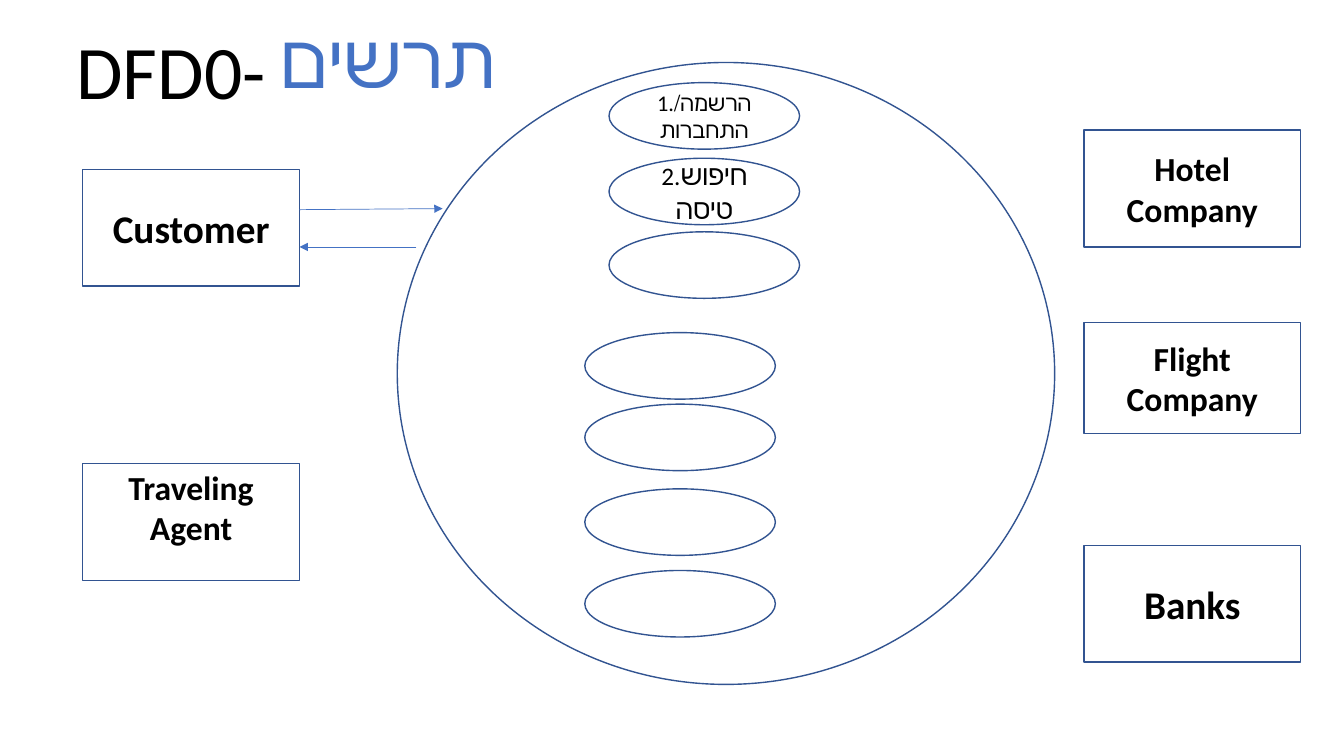
import pptx
import pptx.util
import pptx.dml.color
import pptx.enum.shapes
import pptx.enum.text
import pptx.oxml.ns
from lxml import etree

Inches = pptx.util.Inches
Pt = pptx.util.Pt
SHAPE = pptx.enum.shapes.MSO_SHAPE
COLORS = {"outline": "325491", "accent": "4472C4", "text": "000000", "paper": "FFFFFF"}


def rgb(name):
    """Return the named colour."""
    return pptx.dml.color.RGBColor.from_string(COLORS[name])


class Diagram:
    """Holds the style and the current slide."""

    font = "Calibri"
    outline = Pt(1)
    flow_line = Pt(0.5)

    def __init__(self, s):
        """Keep the slide to draw on."""
        self.s = s

    def add_text(self, tf, runs, color="text", bold=False):
        """Add one centred paragraph of (text, size) runs."""
        p = tf.paragraphs[0]
        p.alignment = pptx.enum.text.PP_ALIGN.CENTER
        for text, size in runs:
            r = p.add_run()
            r.text = text
            r.font.name = self.font
            r.font.size = Pt(size)
            r.font.bold = bold
            r.font.color.rgb = rgb(color)

    def title(self, text, left, top, width, color, right_inset=0.1):
        """Add a part of the heading."""
        sp = self.s.shapes.add_textbox(Inches(left), Inches(top), Inches(width), Inches(1.01))
        tf = sp.text_frame
        tf.word_wrap = False
        tf.margin_right = Inches(right_inset)
        self.add_text(tf, [(text, 54)], color)

    def shape(self, kind, left, top, width, height, runs=(), bold=False, fill=None):
        """Add an outlined shape with optional centred text."""
        sp = self.s.shapes.add_shape(
            kind, Inches(left), Inches(top), Inches(width), Inches(height))
        sp.shadow.inherit = False
        if fill:
            sp.fill.solid()
            sp.fill.fore_color.rgb = rgb(fill)
        else:
            sp.fill.background()
        sp.line.color.rgb = rgb("outline")
        sp.line.width = self.outline
        tf = sp.text_frame
        tf.word_wrap = True
        tf.vertical_anchor = pptx.enum.text.MSO_ANCHOR.MIDDLE
        self.add_text(tf, runs, bold=bold)
        return sp

    def entity(self, text, size, left, top, height=1.16, bottom_inset=0.05):
        """Add the box of an external entity."""
        sp = self.shape(SHAPE.RECTANGLE, left, top, 2.15, height, [(text, size)], bold=True)
        sp.text_frame.margin_bottom = Inches(bottom_inset)

    def process(self, left, top, runs=()):
        """Add the oval of a process."""
        self.shape(SHAPE.OVAL, left, top, 1.89, 0.66, runs)

    def flow(self, x1, y1, x2, y2):
        """Add a data flow arrow."""
        c = self.s.shapes.add_connector(
            pptx.enum.shapes.MSO_CONNECTOR.STRAIGHT,
            Inches(x1), Inches(y1), Inches(x2), Inches(y2))
        c.line.color.rgb = rgb("accent")
        c.line.width = self.flow_line
        qn = pptx.oxml.ns.qn
        spPr = c.element.spPr
        etree.SubElement(spPr.get_or_add_ln(), qn("a:tailEnd"), type="triangle")
        etree.SubElement(spPr, qn("a:effectLst"))


prs = pptx.Presentation()
prs.slide_width = Inches(13.33)
prs.slide_height = Inches(7.5)
d = Diagram(prs.slides.add_slide(prs.slide_layouts[6]))

d.shape(SHAPE.OVAL, 3.94, 0.62, 6.52, 6.17, fill="paper")
d.title("תרשים", 2.66, 0.08, 2.74, "accent", right_inset=0.46)
d.title("DFD0-", 0.62, 0.19, 2.15, "text")

LEFT, RIGHT = 0.82, 10.75
d.entity("Customer", 28, LEFT, 1.68)
d.entity("Traveling Agent", 24, LEFT, 4.6, bottom_inset=0.35)
d.entity("Hotel Company", 24, RIGHT, 1.29)
d.entity("Flight Company", 24, RIGHT, 3.2, height=1.1)
d.entity("Banks", 28, RIGHT, 5.41)

d.flow(2.97, 2.08, 4.39, 2.07)
d.flow(4.13, 2.45, 2.97, 2.45)

UPPER, LOWER = 6.04, 5.8
d.process(UPPER, 0.82, [("1.הרשמה/ התחברות", 16)])
d.process(UPPER, 1.57, [("2.", 18), ("חיפוש טיסה", 20)])
d.process(UPPER, 2.3)
for top in (3.3, 4.01, 4.85, 5.66):
    d.process(LOWER, top)

prs.save("out.pptx")
